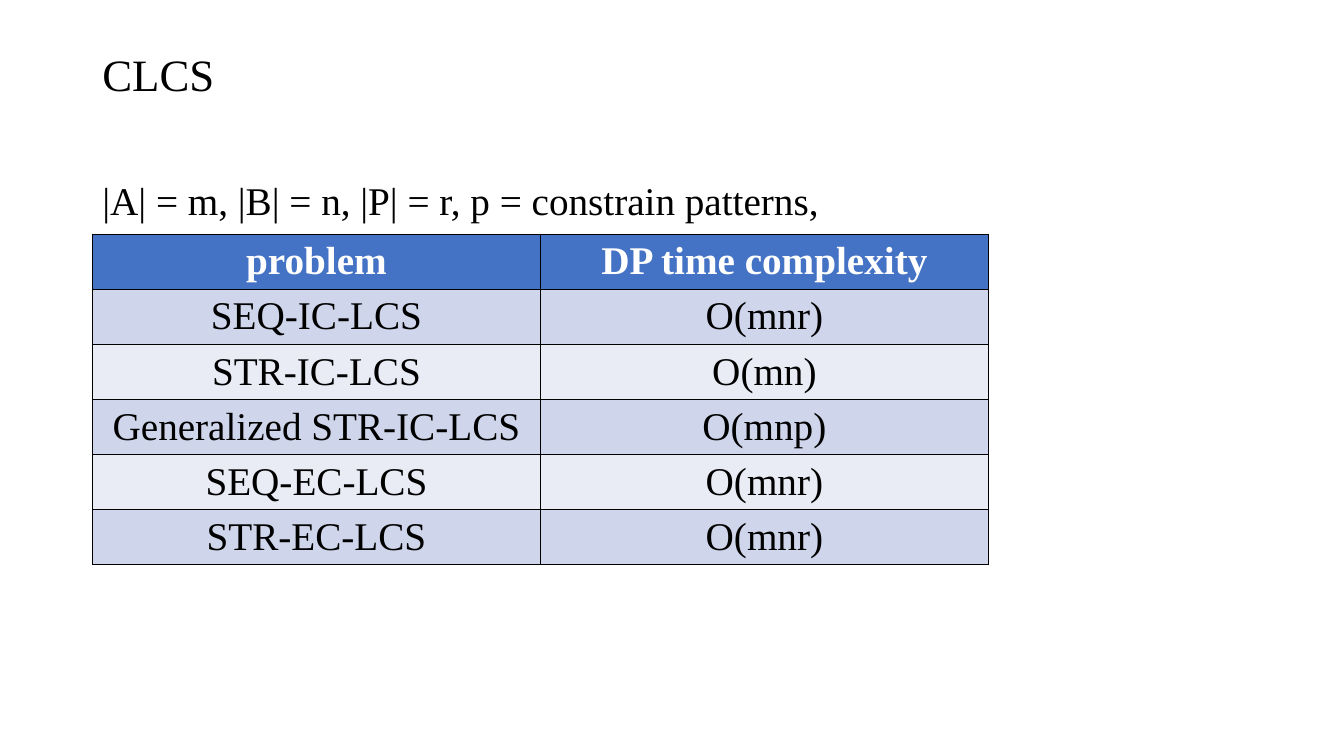
from dataclasses import dataclass

from lxml import etree
from pptx import Presentation
from pptx import util as u
from pptx.dml.color import RGBColor
from pptx.enum import text
from pptx.oxml import ns

FONT = "Times New Roman"
BLACK = RGBColor(0x00, 0x00, 0x00)
WHITE = RGBColor(0xFF, 0xFF, 0xFF)
HEADER_BLUE = RGBColor(0x44, 0x72, 0xC4)
BAND_DARK = RGBColor(0xCF, 0xD5, 0xEA)
BAND_LIGHT = RGBColor(0xE9, 0xEB, 0xF5)

LEFT = u.Cm(2.33)
TEXT_WIDTH = u.Cm(29.21)
TABLE_TOP = u.Cm(5.9)
COLUMN_WIDTH = u.Cm(11.29)
ROW_HEIGHT = u.Cm(1.35)
CELL_MARGIN = u.Cm(0.1)
BODY_SIZE = 28


@dataclass
class TextLine:
    words: str
    top: float
    height: float
    size: int


@dataclass
class Complexity:
    problem: str
    time: str


LINES = [
    TextLine("CLCS", 1.02, 1.85, 32),
    TextLine("|A| = m, |B| = n, |P| = r, p = constrain patterns,", 4.46, 1.3, BODY_SIZE),
]

ROWS = [
    Complexity("problem", "DP time complexity"),
    Complexity("SEQ-IC-LCS", "O(mnr)"),
    Complexity("STR-IC-LCS", "O(mn)"),
    Complexity("Generalized STR-IC-LCS", "O(mnp)"),
    Complexity("SEQ-EC-LCS", "O(mnr)"),
    Complexity("STR-EC-LCS", "O(mnr)"),
]


def style_span(span, size: int, color: RGBColor, bold: bool = False) -> None:
    span.font.name = FONT
    span.font.size = u.Pt(size)
    span.font.bold = bold
    span.font.color.rgb = color


def add_line(page, line: TextLine) -> None:
    box = page.shapes.add_textbox(LEFT, u.Cm(line.top), TEXT_WIDTH, u.Cm(line.height))
    frame = box.text_frame
    frame.word_wrap = True
    frame.vertical_anchor = text.MSO_ANCHOR.MIDDLE
    frame.text = line.words
    para = frame.paragraphs[0]
    para.line_spacing = 0.9
    style_span(para.runs[0], line.size, BLACK)


def add_borders(cell) -> None:
    properties = cell._tc.get_or_add_tcPr()
    for position, side in enumerate(("a:lnL", "a:lnR", "a:lnT", "a:lnB")):
        border = etree.Element(ns.qn(side), w=str(u.Pt(1)))
        fill = etree.SubElement(border, ns.qn("a:solidFill"))
        etree.SubElement(fill, ns.qn("a:srgbClr"), val=str(BLACK))
        properties.insert(position, border)


def fill_cell(cell, words: str, row: int) -> None:
    header = row == 0
    cell.text = words
    cell.vertical_anchor = text.MSO_ANCHOR.MIDDLE
    cell.margin_top = cell.margin_bottom = CELL_MARGIN
    cell.fill.solid()
    band = BAND_DARK if row % 2 else BAND_LIGHT
    cell.fill.fore_color.rgb = HEADER_BLUE if header else band
    para = cell.text_frame.paragraphs[0]
    para.alignment = text.PP_ALIGN.CENTER
    style_span(para.runs[0], BODY_SIZE, WHITE if header else BLACK, header)
    add_borders(cell)


def add_complexity_table(page, rows: list[Complexity]) -> None:
    frame = page.shapes.add_table(
        len(rows), 2, LEFT, TABLE_TOP, COLUMN_WIDTH * 2, ROW_HEIGHT * len(rows)
    )
    for index, row in enumerate(rows):
        for column, words in enumerate((row.problem, row.time)):
            fill_cell(frame.table.cell(index, column), words, index)


def main() -> None:
    deck = Presentation()
    deck.slide_width, deck.slide_height = u.Cm(33.87), u.Cm(19.05)
    page = deck.slides.add_slide(deck.slide_layouts[6])

    # Title and definitions
    for line in LINES:
        add_line(page, line)

    # Time complexity of each problem
    add_complexity_table(page, ROWS)

    deck.save("out.pptx")


if __name__ == "__main__":
    main()
